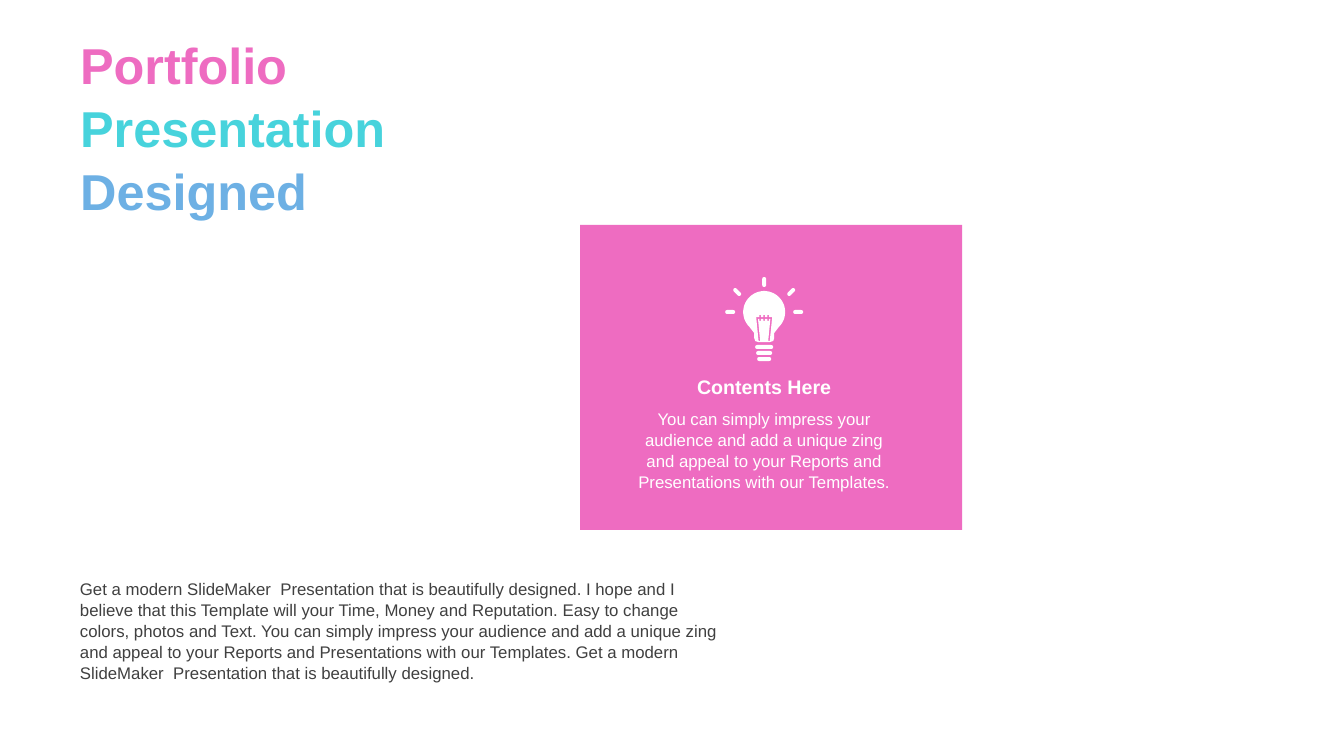
import math
from pptx import Presentation, util as u
from pptx.dml.color import RGBColor
from pptx.enum import shapes, text

PX = 914400 / 100.8
PINK, WHITE = "EE6CC1", "FFFFFF"

prs = Presentation()
prs.slide_width, prs.slide_height = u.Inches(13.33), u.Inches(7.5)
s = prs.slides.add_slide(prs.slide_layouts[5])


def write(sp, box, runs, size, bold=False, align="LEFT", anchor="TOP"):
    sp.left, sp.top, sp.width, sp.height = [round(v * PX) for v in box]
    tf = sp.text_frame
    tf.word_wrap = True
    tf.auto_size = text.MSO_AUTO_SIZE.NONE
    tf.vertical_anchor = text.MSO_ANCHOR[anchor]
    p = tf.paragraphs[0]
    p.alignment = text.PP_ALIGN[align]
    p.line_spacing = 1.04
    for words, color in runs:
        r = p.add_run()
        r.text = words
        r.font.name, r.font.size, r.font.bold = "Arial", u.Pt(size), bold
        r.font.color.rgb = RGBColor.from_string(color)


def paint(sp, color):
    sp.shadow.inherit = False
    sp.fill.solid()
    sp.fill.fore_color.rgb = RGBColor.from_string(color)
    sp.line.fill.background()


card = s.shapes.add_shape(shapes.MSO_SHAPE.RECTANGLE,
                          *[round(v * PX) for v in (580, 225, 382, 305)])
paint(card, PINK)

write(s.shapes.title, (70, 39, 351, 174),
      [("Portfolio ", PINK), ("Presentation ", "47D3DC"), ("Designed", "6DB0E4")],
      36, bold=True, anchor="MIDDLE")

boxes = [
    ((628, 369, 272, 34), "Contents Here", WHITE, 14, True, "CENTER"),
    ((628, 403, 272, 92),
     "You can simply impress your audience and add a unique zing and appeal to "
     "your Reports and Presentations with our Templates.", WHITE, 12, False, "CENTER"),
    ((70, 573, 672, 112),
     "Get a modern SlideMaker  Presentation that is beautifully designed. I hope "
     "and I believe that this Template will your Time, Money and Reputation. Easy "
     "to change colors, photos and Text. You can simply impress your audience and "
     "add a unique zing and appeal to your Reports and Presentations with our "
     "Templates. Get a modern SlideMaker  Presentation that is beautifully "
     "designed.", "404040", 12, False, "LEFT"),
]
for box, words, color, size, bold, align in boxes:
    write(s.shapes.add_textbox(0, 0, 0, 0), box, [(words, color)], size, bold, align)

CX, CY, RADIUS = 764, 312, 21
bars = [(CX, 279, CX, 285)]
for side in (-1, 1):
    bars += [(CX + side * 31, CY, CX + side * 37, CY),
             (CX + side * 25, 294, CX + side * 29, 290)]
for half, y in ((7, 347), (6, 353), (5, 359)):
    bars.append((CX - half, y, CX + half, y))

outlines = []
for x1, y1, x2, y2 in bars:
    heading = math.degrees(math.atan2(y2 - y1, x2 - x1))
    pill = []
    for x, y, start in ((x2, y2, heading - 90), (x1, y1, heading + 90)):
        for step in range(0, 181, 30):
            a = math.radians(start + step)
            pill.append((x + 2 * math.cos(a), y + 2 * math.sin(a)))
    outlines.append(pill)

bulb = []
for degrees in range(135, 406, 6):
    a = math.radians(degrees)
    bulb.append((CX + RADIUS * math.cos(a), CY + RADIUS * math.sin(a)))
neck = [(10, 333), (10, 338), (9, 341), (6, 342)]
bulb += [(CX + dx, y) for dx, y in neck]
bulb += [(CX - dx, y) for dx, y in reversed(neck)]
outlines.append(bulb)

filament = [(756, 317)]
for x in (760, 764, 768):
    filament += [(x - 0.8, 317), (x - 0.8, 315), (x + 0.8, 315), (x + 0.8, 317)]
filament += [(772, 317), (769.6, 341), (768, 341), (770.2, 319)]
for x in (768, 764, 760):
    filament += [(x + 0.8, 319), (x + 0.8, 321), (x - 0.8, 321), (x - 0.8, 319)]
filament += [(757.8, 319), (760, 341), (758.4, 341)]
outlines.append(filament[::-1])

icon = None
for outline in outlines:
    points = [(round(x * 10), round(y * 10)) for x, y in outline]
    if icon is None:
        icon = s.shapes.build_freeform(*points[0], scale=PX / 10)
    else:
        icon.move_to(*points[0])
    icon.add_line_segments(points[1:], close=True)
paint(icon.convert_to_shape(), WHITE)

prs.save("out.pptx")
